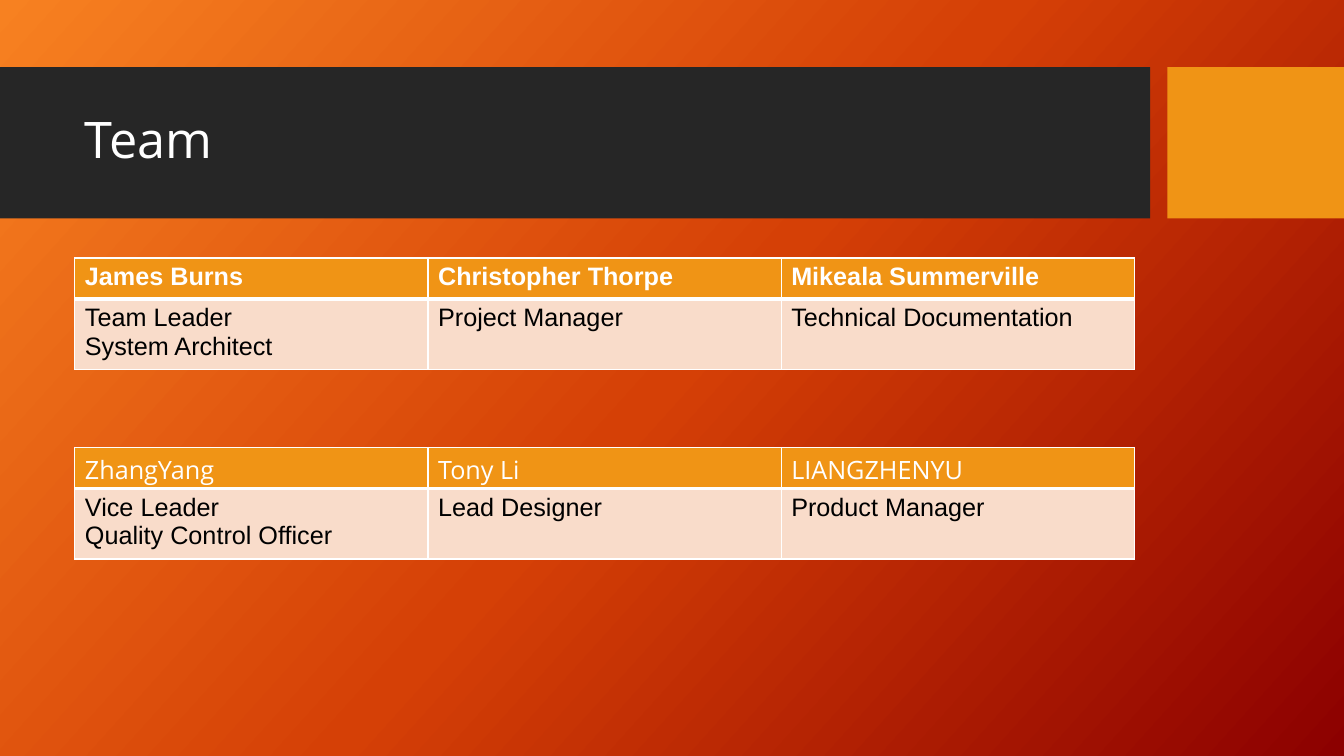
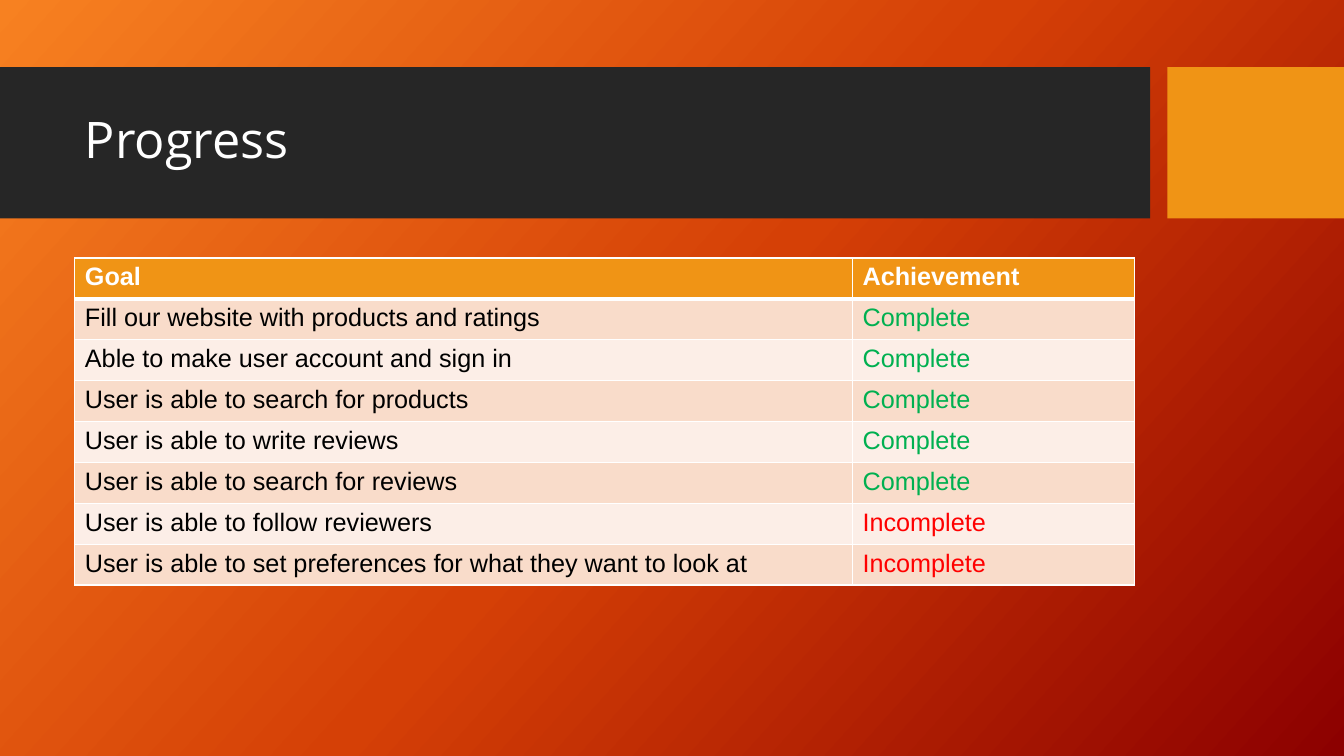
from pptx import Presentation
from pptx import util as u
from pptx.dml import color
from pptx.enum import shapes, text
from pptx.oxml import parse_xml
from pptx.oxml import ns

COLORS = {
    "band": "262626", "accent": "F09415", "white": "FFFFFF", "black": "000000",
    "odd_row": "F9DCCA", "even_row": "FCEEE7",
    "Complete": "00B050", "Incomplete": "FF0000",
    "glow": "F78121", "flame": "D54006", "ember": "8C0000",
}
HEADING_FONT, BODY_FONT = "Open Sans", "Arial"
LEFT, CONTENT_WIDTH = 53.5, 756.8
BAND_TOP, BAND_HEIGHT = 48, 108
BANDS = [(0, 821.5, "band"), (833.8, 126.2, "accent")]
GRADIENT = [(0, "glow"), (50, "flame"), (100, "ember")]
GRADIENT_ANGLE = 42
ROW_HEIGHT, TWO_LINE_HEIGHT = 29.2, 47
TABLE_TOP, SECOND_TABLE_TOP = 184.3, 319.7

presentation = Presentation()
presentation.slide_width, presentation.slide_height = u.Pt(960), u.Pt(540)


def add_run(paragraph, words, size, font, color_name, bold=False):
    """Add one styled run to a paragraph."""
    run = paragraph.add_run()
    run.text = words
    run.font.size = u.Pt(size)
    run.font.name = font
    run.font.bold = bold
    run.font.color.rgb = color.RGBColor.from_string(COLORS[color_name])


def add_table(slide, top, widths, heights, rows, header_font=BODY_FONT):
    """Add a banded table with white rules and a header row."""
    frame = slide.shapes.add_table(
        len(rows), len(widths), u.Pt(LEFT), u.Pt(top),
        u.Pt(sum(widths)), u.Pt(sum(heights)))
    table = frame.table
    for column, width in zip(table.columns, widths):
        column.width = u.Pt(width)
    for row, height in zip(table.rows, heights):
        row.height = u.Pt(height)
    for row_index, entries in enumerate(rows):
        header = row_index == 0
        fill_name = "accent" if header else ("even_row", "odd_row")[row_index % 2]
        rules = {"L": 1, "R": 1, "T": 3 if row_index == 1 else 1, "B": 3 if header else 1}
        for column_index, entry in enumerate(entries):
            cell = table.cell(row_index, column_index)
            properties = cell._tc.get_or_add_tcPr()
            for side, width in rules.items():
                properties.append(parse_xml(
                    f'<a:ln{side} {ns.nsdecls("a")} w="{u.Pt(width)}"><a:solidFill>'
                    f'<a:srgbClr val="{COLORS["white"]}"/></a:solidFill></a:ln{side}>'))
            cell.fill.solid()
            cell.fill.fore_color.rgb = color.RGBColor.from_string(COLORS[fill_name])
            for line_index, line in enumerate(entry.split("\n")):
                frame_text = cell.text_frame
                paragraph = frame_text.add_paragraph() if line_index else frame_text.paragraphs[0]
                if header:
                    add_run(paragraph, line, 18, header_font, "white", header_font == BODY_FONT)
                else:
                    add_run(paragraph, line, 18, BODY_FONT, line if line in COLORS else "black")


# Shared background, bands and title
slides = {}
stops = "".join(
    f'<a:gs pos="{position * 1000}"><a:srgbClr val="{COLORS[name]}"/></a:gs>'
    for position, name in GRADIENT)
for title in ("Team", "Progress"):
    slide = presentation.slides.add_slide(presentation.slide_layouts[6])
    slides[title] = slide
    slide.element.find(ns.qn("p:cSld")).insert(0, parse_xml(
        f'<p:bg {ns.nsdecls("p", "a")}><p:bgPr><a:gradFill rotWithShape="1">'
        f'<a:gsLst>{stops}</a:gsLst><a:lin ang="{GRADIENT_ANGLE * 60000}" scaled="0"/>'
        '</a:gradFill><a:effectLst/></p:bgPr></p:bg>'))
    for left, width, name in BANDS:
        band = slide.shapes.add_shape(
            shapes.MSO_SHAPE.RECTANGLE, u.Pt(left), u.Pt(BAND_TOP), u.Pt(width), u.Pt(BAND_HEIGHT))
        band.shadow.inherit = False
        band.fill.solid()
        band.fill.fore_color.rgb = color.RGBColor.from_string(COLORS[name])
        band.line.fill.background()
    title_box = slide.shapes.add_textbox(u.Pt(LEFT), u.Pt(59), u.Pt(CONTENT_WIDTH), u.Pt(85))
    title_box.text_frame.word_wrap = True
    title_box.text_frame.vertical_anchor = text.MSO_ANCHOR.MIDDLE
    paragraph = title_box.text_frame.paragraphs[0]
    paragraph.line_spacing = 0.9
    add_run(paragraph, title, 36, HEADING_FONT, "white")

# Team
team_widths = [CONTENT_WIDTH / 3] * 3
team_heights = [ROW_HEIGHT, TWO_LINE_HEIGHT]
add_table(slides["Team"], TABLE_TOP, team_widths, team_heights, [
    ("James Burns", "Christopher Thorpe", "Mikeala Summerville"),
    ("Team Leader\nSystem Architect", "Project Manager", "Technical Documentation"),
])
add_table(slides["Team"], SECOND_TABLE_TOP, team_widths, team_heights, [
    ("ZhangYang", "Tony Li", "LIANGZHENYU"),
    ("Vice Leader\nQuality Control Officer", "Lead Designer", "Product Manager"),
], HEADING_FONT)

# Progress
goals = [
    ("Goal", "Achievement"),
    ("Fill our website with products and ratings", "Complete"),
    ("Able to make user account and sign in", "Complete"),
    ("User is able to search for products", "Complete"),
    ("User is able to write reviews", "Complete"),
    ("User is able to search for reviews", "Complete"),
    ("User is able to follow reviewers", "Incomplete"),
    ("User is able to set preferences for what they want to look at", "Incomplete"),
]
add_table(slides["Progress"], TABLE_TOP, [555.5, 201.3], [ROW_HEIGHT] * len(goals), goals)

presentation.save("out.pptx")
